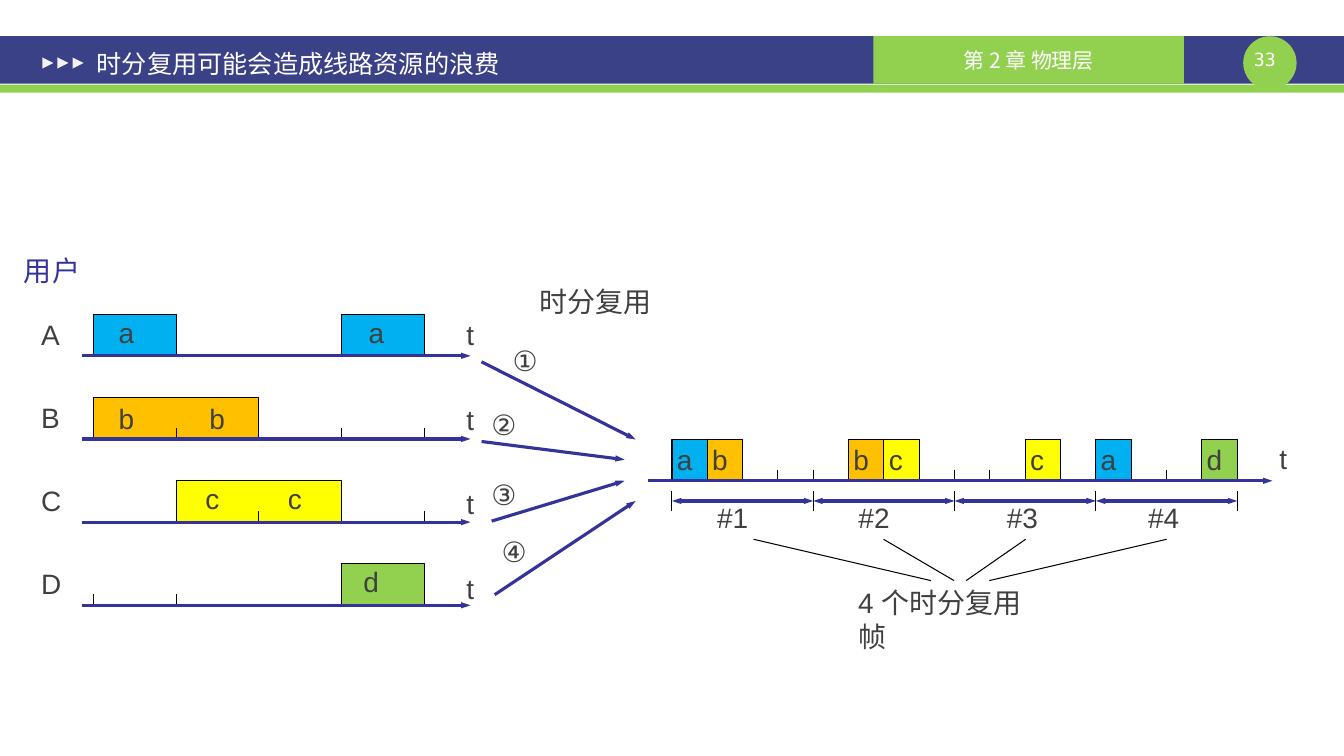
from lxml.etree import SubElement
from pptx import Presentation
from pptx.dml.color import RGBColor
from pptx.enum.shapes import MSO_CONNECTOR, MSO_SHAPE
from pptx.enum.text import MSO_ANCHOR, PP_ALIGN
from pptx.oxml.ns import qn
from pptx.util import Inches, Pt

COLORS = {
    "navy": "3A4187", "green": "92D050", "white": "FFFFFF", "pale": "F2F2F2",
    "axis": "333399", "ink": "404040", "black": "000000",
    "a": "00B0F0", "b": "FFC000", "c": "FFFF00", "d": "92D050",
}
CJK_FONT = "Noto Sans CJK SC"
BLOCK_HEIGHT = 0.41
TICK_HEIGHT = 0.11


def rgb(name):
    return RGBColor.from_string(COLORS[name])


def write(frame, text, size=20, color="ink", font="Arial", align=PP_ALIGN.LEFT,
          anchor=MSO_ANCHOR.TOP, wrap=False, margins=(0.1, 0.05)):
    frame.word_wrap = wrap
    frame.vertical_anchor = anchor
    frame.margin_left = frame.margin_right = Inches(margins[0])
    frame.margin_top = frame.margin_bottom = Inches(margins[1])
    paragraph = frame.paragraphs[0]
    paragraph.alignment = align
    run = paragraph.add_run()
    run.text = text
    run.font.size = Pt(size)
    run.font.name = font
    run.font.color.rgb = rgb(color)
    SubElement(run.font._element, qn("a:ea"), typeface=CJK_FONT)


def add_label(slide, text, left, top, width=0.36, height=0.44, **style):
    box = slide.shapes.add_textbox(
        Inches(left), Inches(top), Inches(width), Inches(height))
    write(box.text_frame, text, **style)


def add_plain(slide, kind, left, top, width, height, color):
    shape = slide.shapes.add_shape(
        kind, Inches(left), Inches(top), Inches(width), Inches(height))
    shape.shadow.inherit = False
    shape.fill.solid()
    shape.fill.fore_color.rgb = rgb(color)
    shape.line.fill.background()
    return shape


def add_line(slide, start, end, color="black", weight=0.75, arrows=()):
    points = [Inches(value) for value in (*start, *end)]
    line = slide.shapes.add_connector(MSO_CONNECTOR.STRAIGHT, *points)
    line.line.color.rgb = rgb(color)
    line.line.width = Pt(weight)
    for arrow in arrows:
        SubElement(line.line._get_or_add_ln(), qn(f"a:{arrow}"),
                   type="triangle", w="sm", len="med")
    SubElement(line._element.spPr, qn("a:effectLst"))


def add_arrow(slide, start, end, arrows=("tailEnd",)):
    add_line(slide, start, end, "axis", 2.25, arrows)


def add_block(slide, left, base, width, color):
    right, top = left + width, base - BLOCK_HEIGHT
    outline = slide.shapes.build_freeform(Inches(left), Inches(base))
    outline.add_line_segments(
        [(Inches(x), Inches(y))
         for x, y in ((left, top), (right, top), (right, base))], close=False)
    block = outline.convert_to_shape()
    block.shadow.inherit = False
    block.fill.solid()
    block.fill.fore_color.rgb = rgb(color)
    block.line.color.rgb = rgb("black")
    block.line.width = Pt(0.75)


def add_ticks(slide, left, base, slot, positions):
    for position in positions:
        x = left + position * slot
        add_line(slide, (x, base - TICK_HEIGHT), (x, base))


def add_header(slide, top, width):
    add_plain(slide, MSO_SHAPE.RECTANGLE, 0, top, width, 0.47, "navy")
    add_plain(slide, MSO_SHAPE.RECTANGLE, 0, top + 0.48, width, 0.08, "green")
    add_plain(slide, MSO_SHAPE.OVAL, width - 1, top, 0.53, 0.53, "green")
    add_label(slide, "33", width - 1.05, top + 0.12, 0.53, 0.22, size=13,
              color="white", font="DejaVu Sans Mono", align=PP_ALIGN.CENTER,
              margins=(0, 0))
    chapter = add_plain(slide, MSO_SHAPE.RECTANGLE,
                        width - 4.67, top, 3.08, 0.47, "green")
    write(chapter.text_frame, "第 2 章 物理层", size=15, color="white",
          font=CJK_FONT, align=PP_ALIGN.CENTER, anchor=MSO_ANCHOR.MIDDLE,
          wrap=True, margins=(0.08, 0.04))
    for index in range(3):
        marker = add_plain(slide, MSO_SHAPE.ISOSCELES_TRIANGLE,
                           0.42 + 0.15 * index, top + 0.21, 0.11, 0.11, "pale")
        marker.rotation = 90
    title = slide.shapes.title
    title.left, title.top = Inches(0.85), Inches(top + 0.03)
    title.width, title.height = Inches(5.83), Inches(0.47)
    write(title.text_frame, "时分复用可能会造成线路资源的浪费", size=18,
          color="white", anchor=MSO_ANCHOR.MIDDLE, wrap=True,
          margins=(0.11, 0.06))
    slide.shapes._spTree.append(title._element)


def add_users(slide, left, top):
    slot, pitch = 0.82, 0.825
    users = [
        ("A", "a", [(0, 1), (3, 1)], [0.15, 2.63], 0.45, []),
        ("B", "b", [(0, 2)], [0.15, 1.05], 0.42, [1, 3, 4]),
        ("C", "c", [(1, 2)], [1.01, 1.83], 0.45, [2, 4]),
        ("D", "d", [(3, 1)], [2.58], 0.45, [0, 1, 3]),
    ]
    add_label(slide, "用户", left - 0.79, top, 0.76, color="axis")
    for row, (user, data, blocks, letters, rise, ticks) in enumerate(users):
        base = top + 1.06 + row * pitch
        for start, span in blocks:
            add_block(slide, left + start * slot, base, span * slot, data)
        add_ticks(slide, left, base, slot, ticks)
        add_arrow(slide, (left - 0.12, base), (left + 3.74, base))
        for offset in letters:
            add_label(slide, data, left + offset, base - rise)
        add_label(slide, user, left - 0.62, base - 0.43, 0.4)
        add_label(slide, "t", left + 3.6, top + 0.63 + row * 0.84, 0.28)


def add_multiplexer(slide, left, top):
    inputs = [
        ("①", (0.21, 0.59), (0, 0.82), (1.53, 1.59)),
        ("②", (0, 1.22), (0, 1.61), (1.42, 1.79)),
        ("③", (0, 1.92), (0.1, 2.4), (1.42, 2)),
        ("④", (0.1, 2.48), (0.13, 3.13), (1.53, 2.2)),
    ]
    add_label(slide, "时分复用", left + 0.48, top, 1.32)
    for number, place, start, end in inputs:
        add_arrow(slide, *((left + x, top + y) for x, y in (start, end)))
        add_label(slide, number, left + place[0], top + place[1], 0.48)


def add_frames(slide, left, base):
    slot = 5.61 / 16
    slots = {0: "a", 1: "b", 5: "b", 6: "c", 10: "c", 12: "a", 15: "d"}
    for position, data in slots.items():
        add_block(slide, left + position * slot, base, slot, data)
    add_ticks(slide, left, base, slot, [2, 3, 4, 8, 9, 14])
    add_arrow(slide, (left - 0.24, base), (left + 5.96, base))
    for position, data in slots.items():
        add_label(slide, data, left + position * slot - 0.05, base - 0.43)
    add_label(slide, "t", left + 5.93, base - 0.44, 0.28)

    edges = [left + 4 * slot * index for index in range(5)]
    for edge in edges:
        add_line(slide, (edge, base + 0.1), (edge, base + 0.3))
    label_offsets = [0.35, 0.35, 0.42, 0.42]
    leaders = [(0.81, 2.57), (2.1, 2.8), (3.51, 2.92), (4.91, 3.15)]
    for index, (offset, (start, end)) in enumerate(zip(label_offsets, leaders)):
        add_arrow(slide, (edges[index], base + 0.2),
                  (edges[index + 1], base + 0.2), ("headEnd", "tailEnd"))
        add_label(slide, f"#{index + 1}", edges[index] + offset, base + 0.15, 0.51)
        add_line(slide, (left + start, base + 0.58), (left + end, base + 0.99))
    add_label(slide, "4 个时分复用帧", left + 1.75, base + 0.99, 2, 0.78, wrap=True)


def main():
    presentation = Presentation()
    presentation.slide_width = Inches(13.34)
    presentation.slide_height = Inches(7.5)
    slide = presentation.slides.add_slide(presentation.slide_layouts[5])
    add_header(slide, 0.36, 13.34)
    add_users(slide, 0.93, 2.47)
    add_multiplexer(slide, 4.78, 2.77)
    add_frames(slide, 6.67, 4.77)
    presentation.save("out.pptx")


if __name__ == "__main__":
    main()
